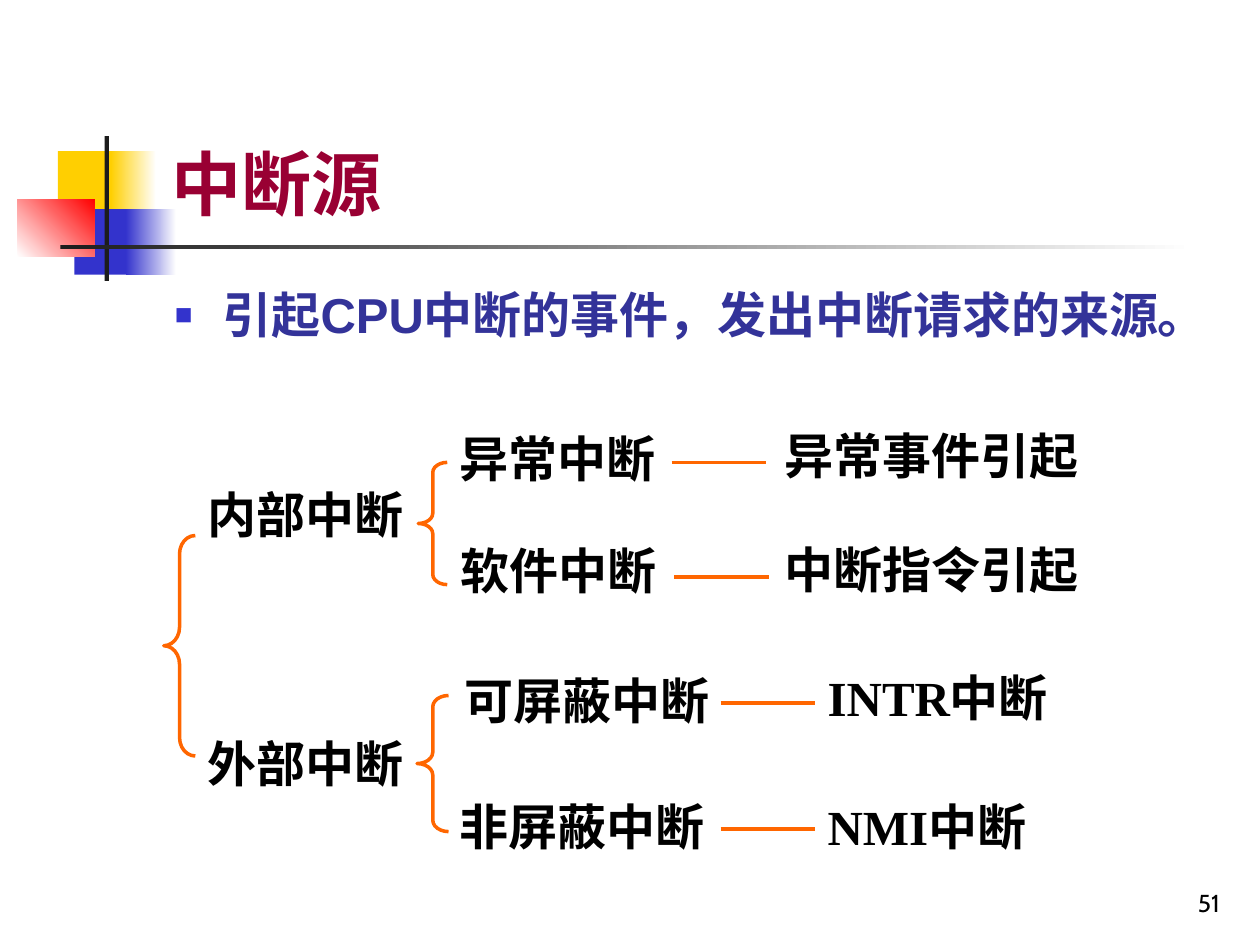
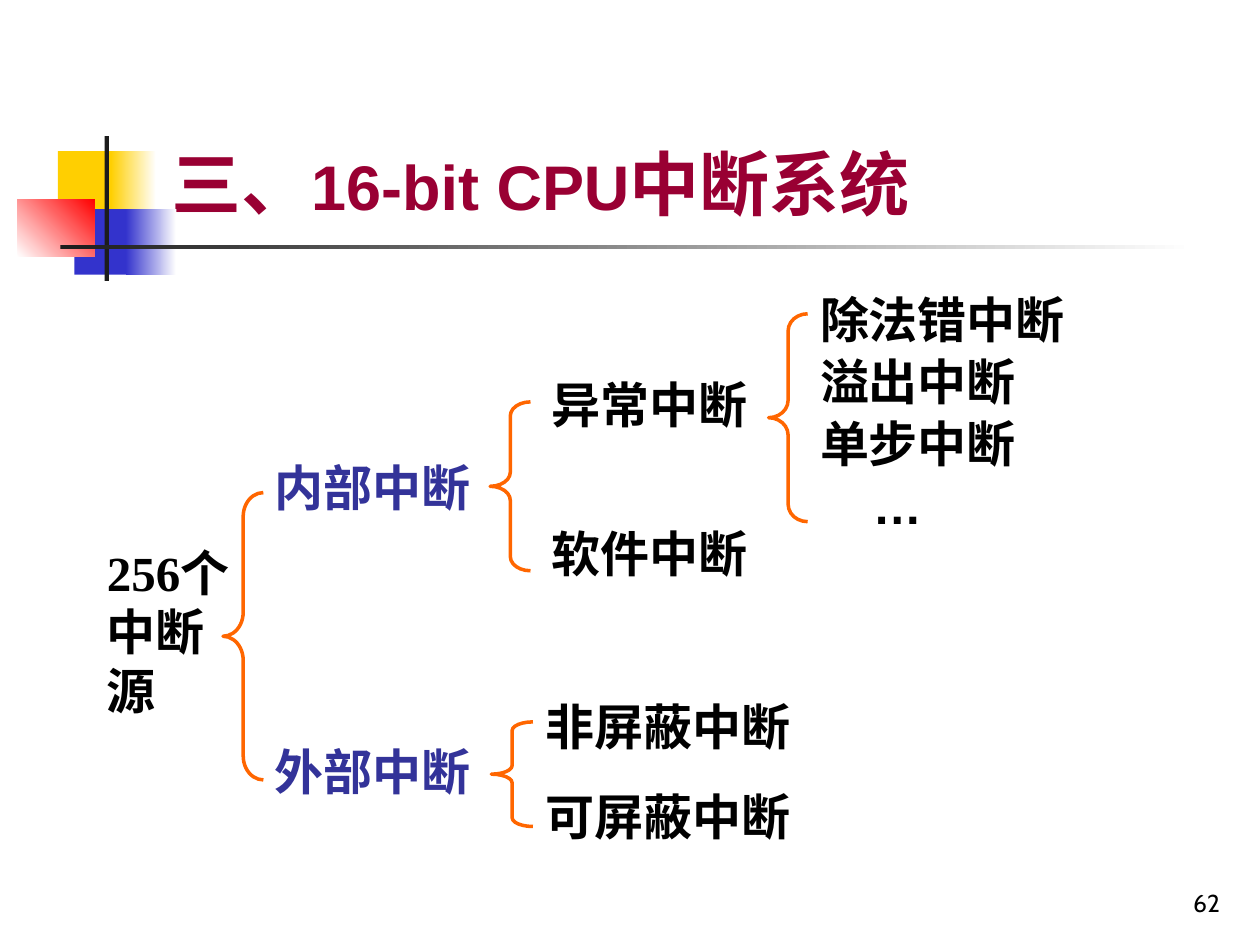
import pptx
import pptx.dml.color
import pptx.enum.shapes
import pptx.enum.text
import pptx.util
import lxml.etree

COLOURS = {
    "title": "990033",
    "accent": "333399",
    "text": "000000",
    "branch": "FF6600",
    "yellow": "FFCF01",
    "blue": "3333CC",
    "red": "FF0000",
    "dark": "1C1C1C",
    "white": "FFFFFF",
}
COLUMNS, ROWS = 100, 75
LABEL_ROWS = 5.7
TITLE_FONT, LABEL_FONT, NUMBER_FONT = "Arial", "Times New Roman", "Cabin"
BANDS = [
    (4.6, 12, 4.8, 5.2, ["yellow"], 0),
    (8.8, 12, 3.6, 5.2, ["yellow", "white"], 0),
    (5.9, 16.6, 4.6, 5.2, ["blue"], 0),
    (10, 16.6, 4, 5.2, ["blue", "white"], 0),
    (1.4, 15.8, 6.1, 4.6, ["white", "red"], 45),
    (8.3, 10.8, 0.35, 11.5, ["dark"], 0),
    (4.8, 19.45, 90, 0.35, ["dark", "white"], 0),
]


class Lecture:
    """Hold the deck style and the current page, and draw on a 100 by 75 grid."""

    def __init__(self):
        self.deck = pptx.Presentation()
        self.deck.slide_width = pptx.util.Inches(10)
        self.deck.slide_height = pptx.util.Inches(7.5)
        self.page = None

    def place(self, column, row):
        return (
            round(self.deck.slide_width * column / COLUMNS),
            round(self.deck.slide_height * row / ROWS),
        )

    def colour(self, name):
        return pptx.dml.color.RGBColor.from_string(COLOURS[name])

    def style(self, para, size, font, colour, bold=True):
        para.font.size = pptx.util.Pt(size)
        para.font.name = font
        para.font.bold = bold
        para.font.color.rgb = self.colour(colour)

    def start(self, title_spans, number):
        self.page = self.deck.slides.add_slide(self.deck.slide_layouts[5])
        for band in BANDS:
            self.band(*band)
        self.title(title_spans)
        self.text(77, 68.3, 20.8, [number], 5, size=14, font=NUMBER_FONT, bold=False,
                  align=pptx.enum.text.PP_ALIGN.RIGHT,
                  anchor=pptx.enum.text.MSO_ANCHOR.BOTTOM)

    def band(self, column, row, width, height, colours, angle):
        shape = self.page.shapes.add_shape(
            pptx.enum.shapes.MSO_SHAPE.RECTANGLE,
            *self.place(column, row), *self.place(width, height))
        shape.shadow.inherit = False
        shape.line.fill.background()
        if len(colours) == 1:
            shape.fill.solid()
            shape.fill.fore_color.rgb = self.colour(colours[0])
            return
        shape.fill.gradient()
        shape.fill.gradient_angle = angle
        for position, (stop, name) in enumerate(zip(shape.fill.gradient_stops, colours)):
            stop.position = position
            stop.color.rgb = self.colour(name)

    def title(self, spans):
        box = self.page.shapes.title
        box.left, box.top = self.place(12.6, 2.3)
        box.width, box.height = self.place(85.2, 16)
        frame = box.text_frame
        frame.auto_size = pptx.enum.text.MSO_AUTO_SIZE.NONE
        frame.vertical_anchor = pptx.enum.text.MSO_ANCHOR.BOTTOM
        para = frame.paragraphs[0]
        para.alignment = pptx.enum.text.PP_ALIGN.LEFT
        self.style(para, 40, TITLE_FONT, "title")
        for words, size in spans:
            span = para.add_run()
            span.text = words
            if size != 40:
                span.font.size = pptx.util.Pt(size)

    def text(self, column, row, width, lines, height=LABEL_ROWS, size=28, font=LABEL_FONT,
             colour="text", bold=True, gap=0, spacing=None, align=None,
             anchor=pptx.enum.text.MSO_ANCHOR.TOP, bullet=None):
        box = self.page.shapes.add_textbox(*self.place(column, row), *self.place(width, height))
        frame = box.text_frame
        frame.word_wrap = True
        frame.vertical_anchor = anchor
        for index, line in enumerate(lines):
            para = frame.add_paragraph() if index else frame.paragraphs[0]
            para.text = line
            para.alignment = align
            para.line_spacing = spacing
            if index:
                para.space_before = pptx.util.Pt(gap)
            if bullet:
                self.bullet(para, bullet)
            self.style(para, size, font, colour, bold)
        return box

    def bullet(self, para, colour):
        indent = pptx.util.Inches(0.38)
        properties = para._p.get_or_add_pPr()
        properties.set("marL", str(indent))
        properties.set("indent", str(-indent))
        space = properties.nsmap["a"]

        def add(parent, tag, **values):
            return lxml.etree.SubElement(parent, f"{{{space}}}{tag}", **values)

        add(add(properties, "buClr"), "srgbClr", val=COLOURS[colour])
        add(properties, "buSzPct", val="60000")
        add(properties, "buFont", typeface=TITLE_FONT)
        add(properties, "buChar", char="■")

    def brace(self, column, row, width, height):
        shape = self.page.shapes.add_shape(
            pptx.enum.shapes.MSO_SHAPE.LEFT_BRACE,
            *self.place(column, row), *self.place(width, height))
        shape.shadow.inherit = False
        shape.fill.background()
        shape.adjustments[0] = height / width / 12
        self.stroke(shape)

    def dash(self, column, row, width=7.5):
        line = self.page.shapes.add_connector(
            pptx.enum.shapes.MSO_CONNECTOR.STRAIGHT,
            *self.place(column, row), *self.place(column + width, row))
        properties = line._element.spPr
        self.stroke(line)
        lxml.etree.SubElement(properties, f"{{{properties.nsmap['a']}}}effectLst")

    def stroke(self, shape):
        shape.line.color.rgb = self.colour("branch")
        shape.line.width = pptx.util.Pt(2)


def interrupt_sources(lecture):
    """Draw the tree of interrupt sources and their causes."""
    lecture.start([("中断源", 40)], "51")
    lecture.text(12.9, 22.1, 85, ["引起CPU中断的事件，发出中断请求的来源。"], 15.8,
                 font=TITLE_FONT, colour="accent", bullet="blue")
    for row, group in [(38, "内部中断"), (57.7, "外部中断")]:
        lecture.text(15.5, row, 23.3, [group])
    for brace in [(13, 42.5, 2.5, 17.5), (33.2, 36.7, 2.3, 9.7), (33.1, 55.2, 2.5, 10.8)]:
        lecture.brace(*brace)
    branches = [
        (35.5, 33.5, "异常中断", 53.3, 36.7, 61.3, 33.3, "异常事件引起"),
        (35.6, 42.4, "软件中断", 53.5, 45.8, 61.3, 42.3, "中断指令引起"),
        (35.9, 52.7, "可屏蔽中断", 57.2, 55.8, 64.7, 52.5, "INTR中断"),
        (35.5, 62.7, "非屏蔽中断", 57.2, 65.8, 64.7, 62.7, "NMI中断"),
    ]
    for column, row, kind, dash_column, dash_row, cause_column, cause_row, cause in branches:
        lecture.text(column, row, 23.3, [kind])
        lecture.dash(dash_column, dash_row)
        lecture.text(cause_column, cause_row, 27.5, [cause])


def interrupt_system(lecture):
    """Draw the tree of the 256 interrupt sources."""
    lecture.start([("三、", 40), ("16-bit CPU", 36), ("中断系统", 40)], "62")
    lecture.text(7.5, 42.6, 11.7, ["256个中断源"], 15)
    lecture.text(20.8, 35.8, 30.8, ["内部中断", "外部中断"], 32.5,
                 font=TITLE_FONT, colour="accent", gap=129)
    lecture.text(42.8, 30.3, 30.8, ["异常中断", "软件中断"], 16.4, gap=60, spacing=0.75)
    lecture.text(42.3, 54.8, 22.5, ["非屏蔽中断", "可屏蔽中断"], 12.8, gap=17.5)
    exceptions = lecture.text(64.1, 22.5, 30.8,
                              ["除法错中断", "溢出中断", "单步中断", "…"], 20.4, gap=1.8)
    ellipsis = exceptions.text_frame.paragraphs[-1]
    ellipsis.font.name = TITLE_FONT
    ellipsis._p.get_or_add_pPr().set("marL", str(pptx.util.Inches(0.42)))
    for brace in [(17.7, 39.1, 3.2, 22.8), (38.9, 31.9, 3.2, 13.4),
                  (39, 57.3, 3.3, 8.3), (61, 24.9, 3.1, 16.5)]:
        lecture.brace(*brace)


def main():
    """Build both pages and save the deck."""
    lecture = Lecture()
    interrupt_sources(lecture)
    interrupt_system(lecture)
    lecture.deck.save("out.pptx")


if __name__ == "__main__":
    main()
